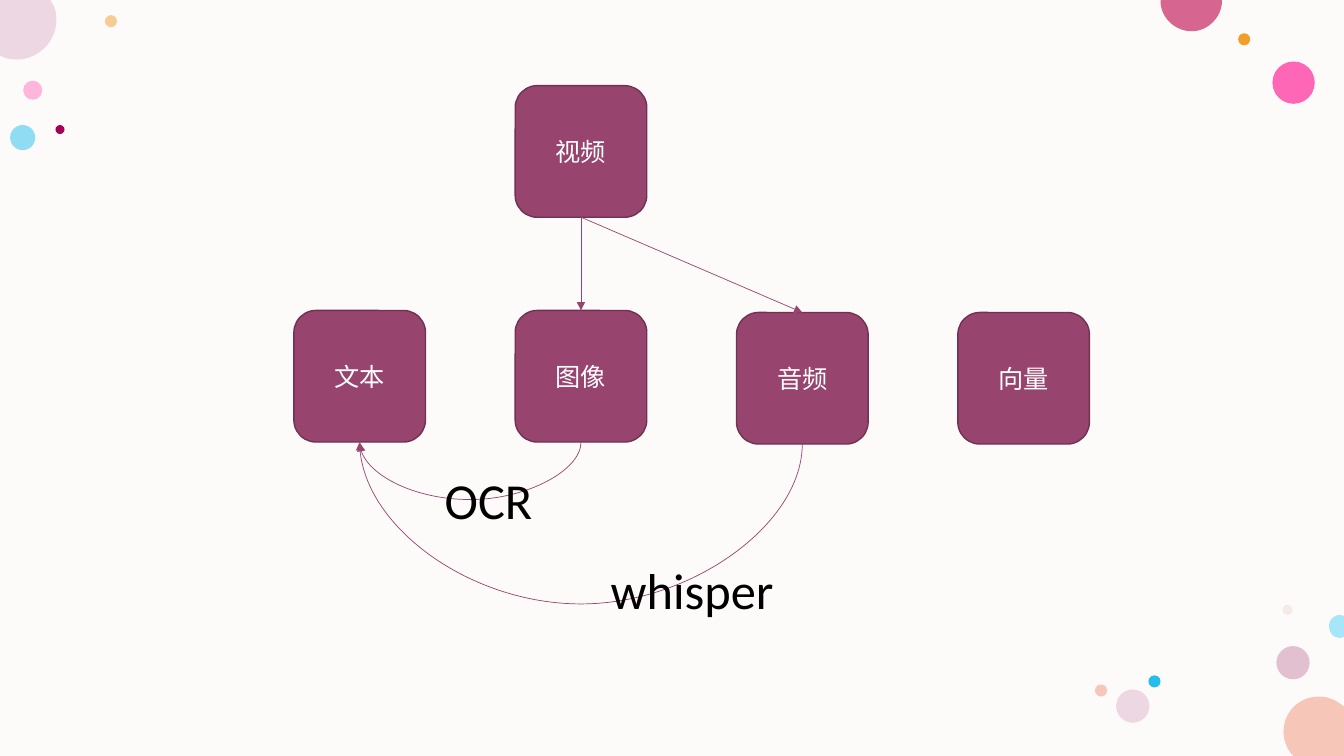
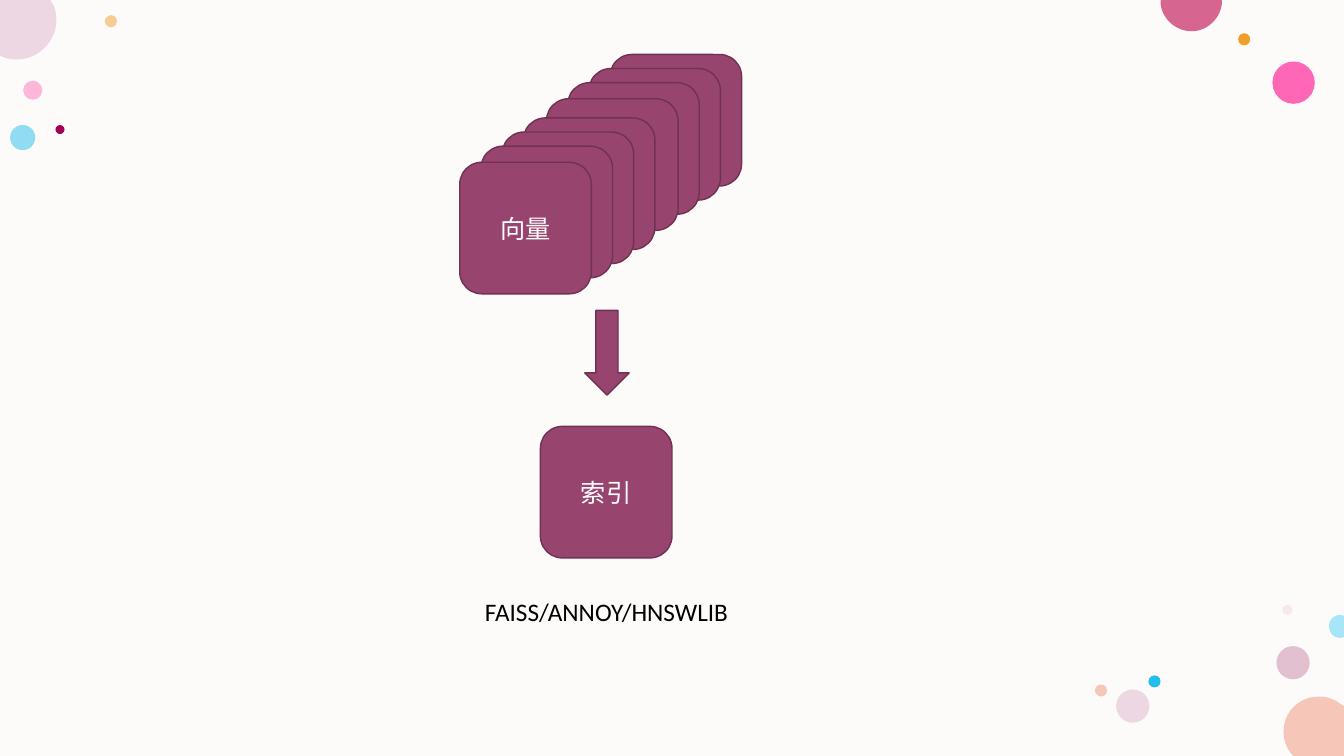
import pptx
import pptx.dml.color
import pptx.enum.shapes
import pptx.enum.text
import pptx.oxml
import pptx.oxml.ns
import pptx.util
from lxml import etree

inch = pptx.util.Inches
qn = pptx.oxml.ns.qn
PRESET = pptx.enum.shapes.MSO_SHAPE
CONNECTOR = pptx.enum.shapes.MSO_CONNECTOR

W, H = 13.33, 7.5
FONT = "Calibri"
COLORS = {
    "paper": "FDFBF9", "block": "97446E", "edge": "703251",
    "white": "FFFFFF", "black": "000000",
    "pink": "FF75BD", "orange": "F39E29", "mauve": "C987A8",
    "cyan": "24BEEE", "magenta": "FF2F9C", "dust": "E3BEBE",
    "lilac": "EDD7E2", "peach": "F6C7B9", "rose": "D6658F",
    "wine": "A40056", "sky": "A7E5F8",
}
rgb = {name: pptx.dml.color.RGBColor.from_string(value) for name, value in COLORS.items()}


def write(shape, words, size, color):
    """Put one centred run into a shape."""
    shape.text_frame.word_wrap = True
    paragraph = shape.text_frame.paragraphs[0]
    paragraph.alignment = pptx.enum.text.PP_ALIGN.CENTER
    run = paragraph.add_run()
    run.text = words
    run.font.name = FONT
    run.font.size = pptx.util.Pt(size)
    run.font.color.rgb = rgb[color]


def add_block(shapes, preset, x, y, width, height, words=""):
    """Add a filled, outlined shape, with a label if there is one."""
    block = shapes.add_shape(preset, inch(x), inch(y), inch(width), inch(height))
    block.shadow.inherit = False
    block.fill.solid()
    block.fill.fore_color.rgb = rgb["block"]
    block.line.color.rgb = rgb["edge"]
    block.line.width = pptx.util.Pt(1)
    block.text_frame.vertical_anchor = pptx.enum.text.MSO_ANCHOR.MIDDLE
    if words:
        write(block, words, 18, "white")
    return block


prs = pptx.Presentation()
prs.slide_width, prs.slide_height = inch(W), inch(H)
blank = prs.slide_layouts[6]
flow, index = prs.slides.add_slide(blank), prs.slides.add_slide(blank)

# Shared background: paper, whole bubbles and bubbles cut by the slide's edge
paper = flow.shapes.add_shape(PRESET.RECTANGLE, 0, 0, prs.slide_width, prs.slide_height)
backdrop = [(paper, "paper", 100)]

for x, y, diameter, color, opacity in [
    (0.23, 0.8, 0.19, "pink", 50), (1.04, 0.15, 0.12, "orange", 50),
    (12.66, 6.41, 0.33, "mauve", 50), (0.1, 1.24, 0.25, "cyan", 50),
    (12.62, 0.61, 0.42, "magenta", 72), (12.28, 0.33, 0.12, "orange", 100),
    (12.72, 6, 0.1, "dust", 28), (11.39, 6.7, 0.12, "cyan", 100),
    (11.07, 6.84, 0.33, "lilac", 100), (10.86, 6.79, 0.12, "peach", 100),
    (0.55, 1.24, 0.09, "wine", 100),
]:
    bubble = flow.shapes.add_shape(
        PRESET.OVAL, inch(x), inch(y), inch(diameter), inch(diameter))
    backdrop.append((bubble, color, opacity))

# Each outline is a start and its segments: one point for a line, three for a curve
for color, start, segments in [
    ("peach", (13.08, 6.91), [
        [(13.18, 6.91), (13.26, 6.95), (13.33, 7.01)], [(13.33, 7.5)], [(12.83, 7.5)],
        [(12.81, 7.48)], [(12.76, 7.42), (12.73, 7.34), (12.73, 7.26)],
        [(12.73, 7.06), (12.89, 6.91), (13.08, 6.91)]]),
    ("lilac", (0, 0), [
        [(0.5, 0)], [(0.53, 0.05)], [(0.55, 0.09), (0.56, 0.14), (0.56, 0.2)],
        [(0.56, 0.41), (0.38, 0.59), (0.17, 0.59)],
        [(0.11, 0.59), (0.06, 0.58), (0.02, 0.56)], [(0, 0.55)]]),
    ("rose", (11.52, 0), [
        [(12.12, 0)], [(12.12, 0.01)], [(12.12, 0.17), (11.98, 0.31), (11.82, 0.31)],
        [(11.65, 0.31), (11.51, 0.17), (11.51, 0.01)]]),
    ("sky", (13.29, 6.1), [
        [(13.33, 6.11)], [(13.33, 6.32)], [(13.29, 6.33)],
        [(13.23, 6.33), (13.18, 6.28), (13.18, 6.21)],
        [(13.18, 6.15), (13.23, 6.1), (13.29, 6.1)]]),
]:
    outline = flow.shapes.build_freeform(inch(start[0]), inch(start[1]))
    outline.add_line_segments(
        [(inch(x), inch(y)) for segment in segments for x, y in segment], close=True)
    bubble = outline.convert_to_shape()
    steps = iter(bubble.element.spPr.findall(".//" + qn("a:lnTo")))
    for segment in segments:
        first = next(steps)
        if len(segment) == 3:
            curve = etree.Element(qn("a:cubicBezTo"))
            first.addprevious(curve)
            for step in (first, next(steps), next(steps)):
                curve.append(step[0])
                step.getparent().remove(step)
    backdrop.append((bubble, color, 100))

# Colour the backdrop and hand it to the master
for number, (part, color, opacity) in enumerate(backdrop):
    part.shadow.inherit = False
    part.fill.solid()
    part.fill.fore_color.rgb = rgb[color]
    part.line.fill.background()
    if opacity < 100:
        tint = part.element.spPr.find(".//" + qn("a:srgbClr"))
        etree.SubElement(tint, qn("a:alpha"), val=str(opacity * 1000))
    part.element.nvSpPr.cNvPr.set("id", str(100 + number))
    prs.slide_master.shapes.element.insert(2 + number, part.element)

# Slide 1: from video to text, image and audio
SIDE = 1.305
COLUMN = [2.915 + 2.195 * n for n in range(4)]
ROW = [0.85, 3.08]
NUDGE = 0.02

media = {}
for words, x, y in [
    ("文本", COLUMN[0], ROW[1]), ("图像", COLUMN[1], ROW[1]),
    ("音频", COLUMN[2], ROW[1] + NUDGE), ("向量", COLUMN[3], ROW[1] + NUDGE),
    ("视频", COLUMN[1], ROW[0]),
]:
    media[words] = add_block(flow.shapes, PRESET.ROUNDED_RECTANGLE, x, y, SIDE, SIDE, words)

# Arrows: straight ones end on top, curved ones hang below the blocks by a depth
for source, target, depth in [
    ("视频", "图像", 0), ("视频", "音频", 0), ("图像", "文本", 0.58), ("音频", "文本", 1.58),
]:
    kind = CONNECTOR.CURVE if depth else CONNECTOR.STRAIGHT
    arrow = flow.shapes.add_connector(kind, 0, 0, 0, 0)
    arrow.begin_connect(media[source], 2)
    arrow.end_connect(media[target], 2 if depth else 0)
    arrow.line.color.rgb = rgb["block"]
    arrow.line.width = pptx.util.Pt(0.5)
    properties = arrow.element.spPr
    etree.SubElement(properties.find(qn("a:ln")), qn("a:tailEnd"), type="triangle")
    etree.SubElement(properties, qn("a:effectLst"))
    if depth:  # a quarter turn makes the curve leave and arrive from below
        span = arrow.begin_x - arrow.end_x
        drop = (arrow.end_y - arrow.begin_y) or inch(0.01)
        middle_x = (arrow.begin_x + arrow.end_x) // 2
        middle_y = arrow.begin_y + drop // 2
        arrow.width, arrow.height = abs(drop), span
        arrow.left, arrow.top = middle_x - abs(drop) // 2, middle_y - span // 2
        frame = properties.find(qn("a:xfrm"))
        frame.set("rot", "5400000")
        frame.set("flipH", "1" if drop < 0 else "0")
        frame.set("flipV", "0")
        bend = round(inch(depth) / drop * 100000)
        guides = properties.find(qn("a:prstGeom")).get_or_add_avLst()
        etree.SubElement(guides, qn("a:gd"), name="adj1", fmla=f"val {bend}")

# Slide 2: a stack of vectors, in two runs of four, becomes an index
stack = index.shapes.add_group_shape()
RISE = [0, 0.14, 0.28, 0.44]
for n in range(8):
    half, step = divmod(n, 4)
    add_block(stack.shapes, PRESET.ROUNDED_RECTANGLE,
              6.05 - 0.86 * half - 0.21 * step, 0.54 + 0.63 * half + RISE[step],
              SIDE, SIDE, "向量" if n >= 6 else "")
add_block(index.shapes, PRESET.ROUNDED_RECTANGLE, 5.36, 4.23, SIDE, SIDE, "索引")
add_block(index.shapes, PRESET.DOWN_ARROW, 5.8, 3.08, 0.44, 0.84)

# Captions naming the tools
for slide, words, x, y, width, height, size in [
    (flow, "OCR", 4.22, 4.6, 1.25, 0.71, 36),
    (flow, "whisper", 5.88, 5.5, 1.97, 0.71, 36),
    (index, "FAISS/ANNOY/HNSWLIB", 4.29, 5.87, 3.45, 0.4, 18),
]:
    caption = slide.shapes.add_textbox(inch(x), inch(y), inch(width), inch(height))
    write(caption, words, size, "black")
    caption.text_frame.auto_size = pptx.enum.text.MSO_AUTO_SIZE.SHAPE_TO_FIT_TEXT

prs.save("out.pptx")
